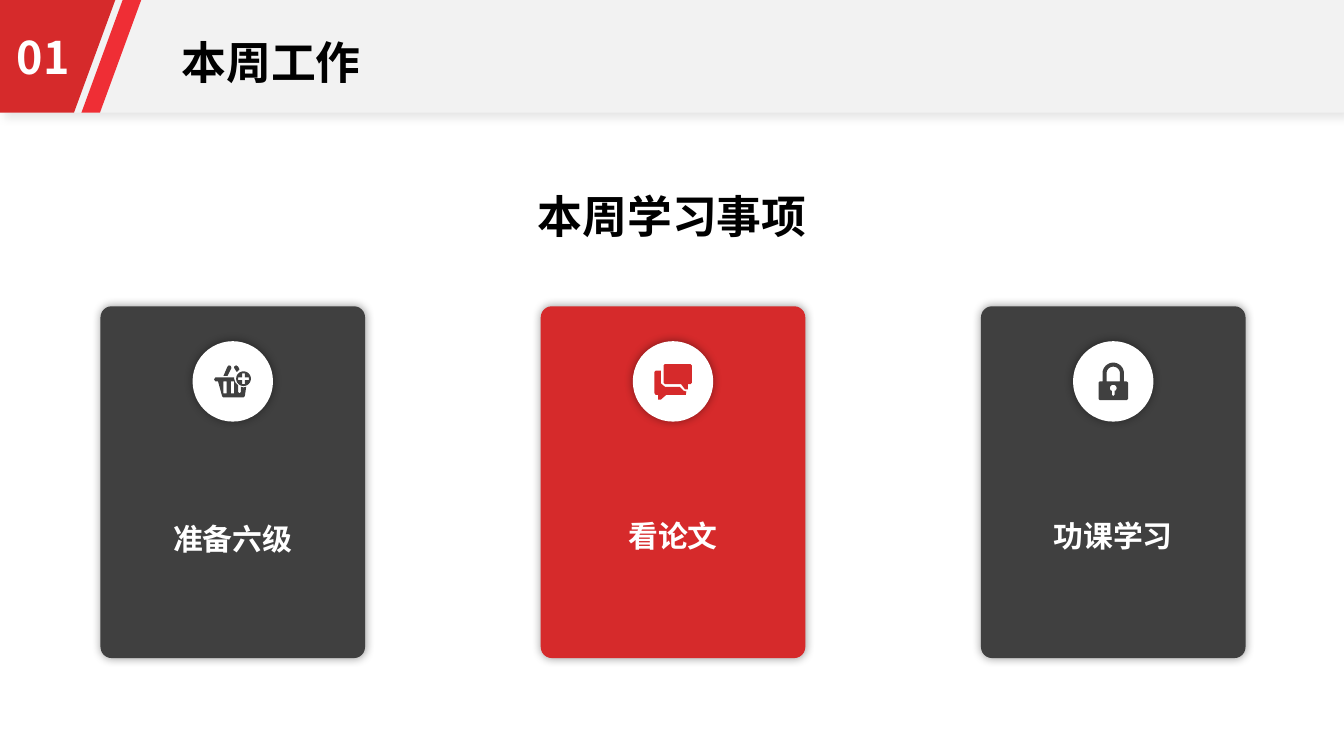
from math import cos, pi, sin

from lxml.etree import SubElement
from pptx import Presentation
from pptx.dml.color import RGBColor
from pptx.enum.shapes import MSO_SHAPE as Shape
from pptx.enum.text import MSO_AUTO_SIZE as AutoSize, PP_ALIGN as Align
from pptx.oxml.ns import qn
from pptx.util import Cm, Pt

FONT = "Noto Sans CJK SC"
RED, BRIGHT_RED, DARK = "D62A2B", "EF2E35", "404040"
WHITE, BLACK, PALE = "FFFFFF", "000000", "F2F2F2"
CIRCLE_SIZE = Cm(1.52)
ICON_UNIT = CIRCLE_SIZE / 60


def color(value):
    return RGBColor.from_string(value)


def paint(shape, fill):
    shape.fill.solid()
    shape.fill.fore_color.rgb = color(fill)
    shape.line.fill.background()
    shape.shadow.inherit = False


def add_shadow(shape, opacity, distance=0, angle=0):
    effects = shape._element.spPr.find(qn("a:effectLst"))
    shadow = SubElement(effects, qn("a:outerShdw"), blurRad=str(Pt(5)), dist=str(Pt(distance)),
                        dir=str(angle * 60000), algn="ctr", rotWithShape="0")
    shade = SubElement(shadow, qn("a:srgbClr"), val=BLACK)
    SubElement(shade, qn("a:alpha"), val=str(opacity * 1000))


def add_block(shapes, kind, box, fill, adjustment=None):
    shape = shapes.add_shape(kind, *box)
    if adjustment is not None:
        shape.adjustments[0] = adjustment
    paint(shape, fill)
    return shape


def add_outline(shapes, contours, fill, left=0, top=0, unit=1):
    """Draw closed contours as one shape; inner contours become holes."""
    scaled = [[(x * unit, y * unit) for x, y in contour] for contour in contours]
    builder = shapes.build_freeform(*scaled[0][0], scale=1.0)
    for index, contour in enumerate(scaled):
        if index:
            builder.move_to(*contour[0])
        builder.add_line_segments(contour[1:], close=True)
    paint(builder.convert_to_shape(int(left), int(top)), fill)


def add_text(shapes, box, text, size, fill, align=Align.CENTER, font=FONT, spacing=None, **frame_format):
    frame = shapes.add_textbox(*box).text_frame
    for name, value in {"word_wrap": True, "auto_size": AutoSize.SHAPE_TO_FIT_TEXT, **frame_format}.items():
        setattr(frame, name, value)
    paragraph = frame.paragraphs[0]
    for name, value in {"alignment": align, "line_spacing": spacing}.items():
        setattr(paragraph, name, value)
    run = paragraph.add_run()
    run.text = text
    for name, value in {"name": font, "size": Pt(size), "bold": True}.items():
        setattr(run.font, name, value)
    run.font.color.rgb = color(fill)
    SubElement(run._r.get_or_add_rPr(), qn("a:ea"), typeface=FONT)


def arc(x, y, radius, start=0, end=360, steps=24):
    angles = [(start + (end - start) * step / steps) * pi / 180 for step in range(steps + 1)]
    return [(x + radius * cos(angle), y + radius * sin(angle)) for angle in angles]


def rectangle(left, top, right, bottom):
    return [(left, top), (right, top), (right, bottom), (left, bottom)]


def basket_contours():
    plus = [(21, 6), (23, 6), (23, 9), (26, 9), (26, 11), (23, 11),
            (23, 14), (21, 14), (21, 11), (18, 11), (18, 9), (21, 9)]
    left_handle = [(13, 2), (10, 8), (7, 8), (10, 1), (11, 0), (12.5, 0.5)]
    right_handle = [(17, 5), (15, 2), (15, 1), (16.5, 0), (18, 1), (19, 3)]
    body = [(0, 10.5), (1, 9), (15, 9), (15, 10), (16, 13), (18, 15), (18, 20), (19, 21), (20, 20),
            (20, 16), (22, 16.5), (24, 16), (23, 23), (22, 24), (7, 24), (6, 23), (3, 12), (1, 12)]
    slots = [rectangle(left, 12, left + 2.5, 21) for left in (7, 12.5)]
    return [arc(22, 10, 5.5), plus, left_handle, right_handle, body, *slots]


def chat_contours():
    front = [(7, 1), (8, 0), (27, 0), (28, 1), (28, 14), (27, 15), (25, 15), (25, 19),
             (23, 19), (20, 15), (8, 15), (7, 14)]
    back = [(0, 6), (1, 5), (5, 5), (5, 14.5), (8, 17), (19, 17), (22, 20), (24, 20.5),
            (23.5, 23), (9, 23), (5, 26.5), (3, 26.5), (3, 23), (1, 23), (0, 21.5)]
    return [front, back]


def lock_contours():
    body = [(0, 15), (1, 14), (3, 14), *arc(11, 8, 8, 180, 360), (19, 14), (21, 14),
            (22, 15), (22, 27), (21, 28), (1, 28), (0, 27)]
    opening = [(6, 14), *arc(11, 8, 5, 180, 360), (16, 14)]
    keyhole = [(10, 21), *arc(11, 19, 2.5, 130, 410), (12, 21), (12, 24), (11, 25), (10, 24)]
    return [body, opening, keyhole]


def add_header(slide, width, height, number, title):
    shapes = slide.shapes
    band = add_block(shapes, Shape.RECTANGLE, (0, 0, width, height), PALE)
    add_shadow(band, 10, distance=3, angle=45)
    add_outline(shapes, [[(0, 0), (Cm(2.18), 0), (Cm(1.4), height), (0, height)]], RED)
    add_block(shapes, Shape.PARALLELOGRAM, (Cm(1.54), 0, Cm(1.13), height), BRIGHT_RED, 0.69)
    add_text(shapes, (Cm(3.18), Cm(0.53), Cm(3.94), Cm(1.27)), title, 24, BLACK,
             align=Align.JUSTIFY, word_wrap=False)
    add_text(shapes, (Cm(-0.53), Cm(0.43), Cm(2.69), Cm(1.27)), number, 24, WHITE)


def add_card(slide, box, label, label_top, fill, contours, icon_offset):
    left, top, width, height = box
    shapes = slide.shapes.add_group_shape().shapes
    add_shadow(add_block(shapes, Shape.ROUNDED_RECTANGLE, box, fill, 0.042), 40)
    circle_left, circle_top = left + (width - CIRCLE_SIZE) // 2, top + Cm(0.66)
    circle = add_block(shapes, Shape.OVAL, (circle_left, circle_top, CIRCLE_SIZE, CIRCLE_SIZE), WHITE)
    add_shadow(circle, 40)
    icon_x, icon_y = icon_offset
    add_outline(shapes, contours, fill, circle_left + icon_x * ICON_UNIT,
                circle_top + icon_y * ICON_UNIT, ICON_UNIT)
    label_width = Cm(0.57 * len(label) + 0.15)
    add_text(shapes, (left + (width - label_width) // 2, top + label_top, label_width, Cm(1.04)),
             label, 16, WHITE, spacing=1.25, word_wrap=False,
             margin_left=Cm(0.08), margin_right=Cm(0.08))


def main():
    presentation = Presentation()
    presentation.slide_width, presentation.slide_height = Cm(25.4), Cm(14.29)
    slide = presentation.slides.add_slide(presentation.slide_layouts[6])
    add_header(slide, presentation.slide_width, Cm(2.13), "01", "本周工作")
    add_text(slide.shapes, (Cm(8.31), Cm(3.45), Cm(8.79), Cm(1.27)), "本周学习事项", 24, BLACK, font="Arial")
    cards = [
        ("准备六级", Cm(3.76), DARK, basket_contours(), (16, 18)),
        ("看论文", Cm(3.71), RED, chat_contours(), (16, 17)),
        ("功课学习", Cm(3.71), DARK, lock_contours(), (19, 16)),
    ]
    for index, card in enumerate(cards):
        add_card(slide, (Cm(1.9) + index * Cm(8.32), Cm(5.79), Cm(5), Cm(6.65)), *card)
    presentation.save("out.pptx")


if __name__ == "__main__":
    main()
